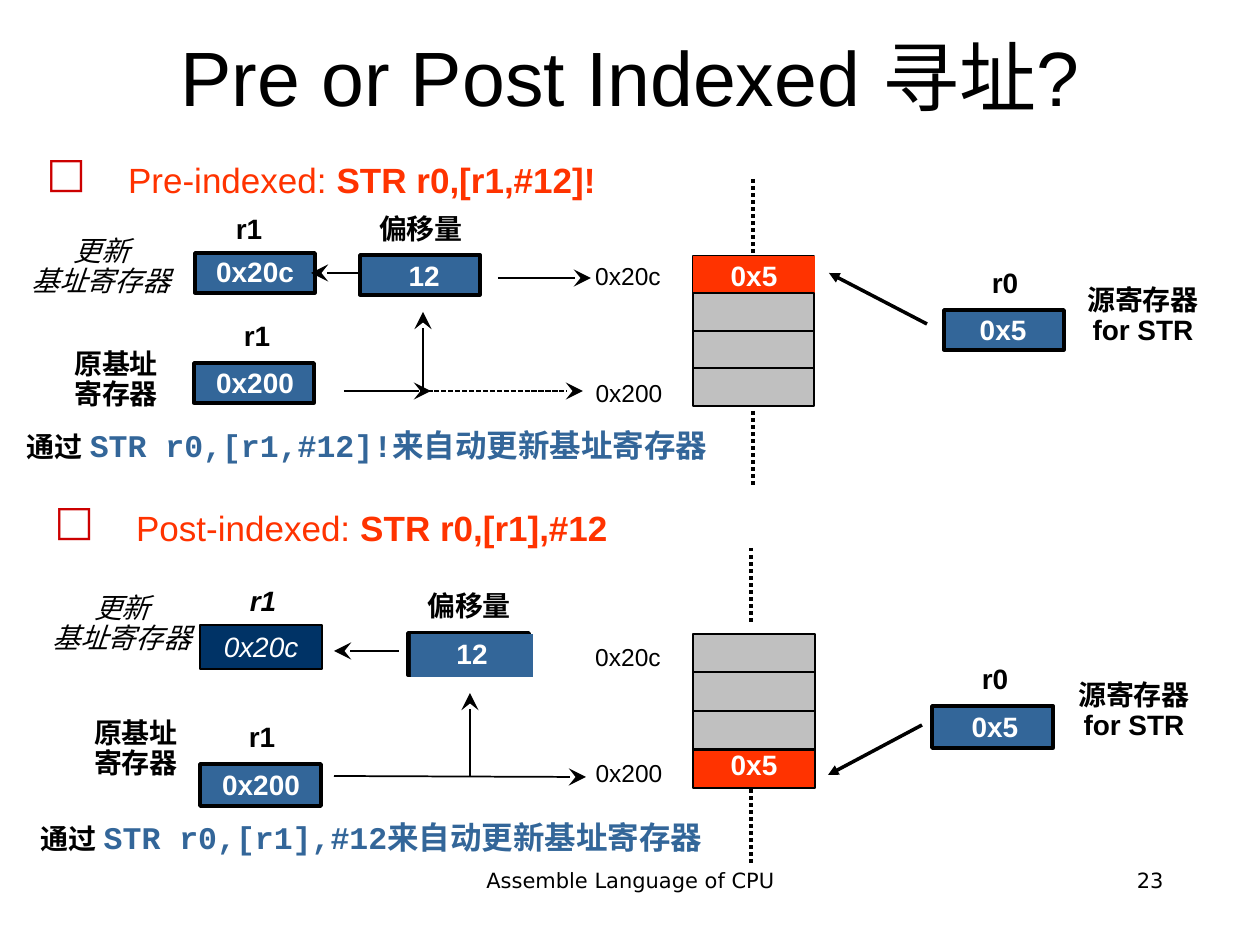
from copy import deepcopy
from dataclasses import dataclass
from typing import NamedTuple, Optional

from lxml.etree import SubElement as Sub
from pptx import Presentation
from pptx.dml.color import RGBColor as Rgb
from pptx.enum.dml import MSO_LINE as Dash
from pptx.enum.shapes import MSO_CONNECTOR as Conn, MSO_SHAPE as Shape
from pptx.enum.text import MSO_ANCHOR as Anchor, PP_ALIGN as Align
from pptx.oxml.ns import qn
from pptx.util import Emu, Pt

SCALE = 914400 / 126
HUES = {
    "black": "000000", "white": "FFFFFF", "red": "FF3300", "blue": "336699",
    "navy": "003366", "grey": "C0C0C0", "mark": "CC0000", "pale": "DDDDDD",
}


class Run(NamedTuple):
    text: str
    size: int = 16
    hue: str = "black"
    bold: bool = False
    slant: bool = False
    font: str = "Arial"


class Box(NamedTuple):
    x: int
    y: int
    w: int
    h: int
    fill: Optional[str] = None
    line: int = 2


class Wire(NamedTuple):
    x1: int
    y1: int
    x2: int
    y2: int
    width: int = 1
    head: str = ""
    tail: str = "stealth"
    dash: Optional[Dash] = None


@dataclass
class Stack:
    x: int
    y: int
    w: int
    span: int
    hot: int
    label: Box
    rim: bool


@dataclass
class Scene:
    stack: Stack
    boxes: list[Box]
    tags: list[tuple[int, int, Run]]
    wires: list[Wire]


def px(n: float) -> Emu:
    return Emu(round(n * SCALE))


def rgb(hue: str) -> Rgb:
    return Rgb.from_string(HUES[hue])


def write(shape, runs: list[Run], align=Align.CENTER, space=0.9,
          wrap=True, anchor=Anchor.TOP, bullet="") -> None:
    frame = shape.text_frame
    frame.word_wrap = wrap
    frame.vertical_anchor = anchor
    para = frame.paragraphs[0]
    if bullet:
        props = para._p.get_or_add_pPr()
        props.set("marL", str(px(65)))
        props.set("indent", str(px(-65)))
        Sub(Sub(props, qn("a:buClr")), qn("a:srgbClr")).set("val", HUES["mark"])
        Sub(props, qn("a:buSzPct")).set("val", "80000")
        Sub(props, qn("a:buFont")).set("typeface", "DejaVu Sans")
        Sub(props, qn("a:buChar")).set("char", bullet)
    para.alignment = align
    para.line_spacing = space
    if len(runs) == 1:
        para.text = runs[0].text
    else:
        for run in runs:
            para.add_run().text = run.text
    for i, part in enumerate(para.runs):
        run = runs[min(i, len(runs) - 1)]
        font = part.font
        font.name, font.size = run.font, Pt(run.size)
        font.bold, font.italic = run.bold, run.slant
        font.color.rgb = rgb(run.hue)
    for gap in para._p.findall(qn("a:br")):
        gap.append(deepcopy(para.runs[0]._r.rPr))


def block(slide, box: Box):
    shape = slide.shapes.add_shape(Shape.RECTANGLE, *map(px, box[:4]))
    shape.shadow.inherit = False
    if box.fill:
        shape.fill.solid()
        shape.fill.fore_color.rgb = rgb(box.fill)
    else:
        shape.fill.background()
    if box.line:
        shape.line.color.rgb = rgb("black")
        shape.line.width = Pt(box.line)
    else:
        shape.line.fill.background()
    return shape


def label(slide, x: int, y: int, w: int, h: int, runs: list[Run], **look) -> None:
    write(slide.shapes.add_textbox(px(x), px(y), px(w), px(h)), runs, **look)


def link(slide, wire: Wire) -> None:
    conn = slide.shapes.add_connector(Conn.STRAIGHT, *map(px, wire[:4]))
    conn.line.color.rgb = rgb("black")
    conn.line.width = Pt(wire.width)
    if wire.dash:
        conn.line.dash_style = wire.dash
    stroke = conn.line._get_or_add_ln()
    for end, kind in (("a:headEnd", wire.head), ("a:tailEnd", wire.tail)):
        if kind:
            tip = Sub(stroke, qn(end))
            tip.set("type", kind)
            if kind == "stealth":
                tip.set("w", "lg")
                tip.set("len", "lg")
    Sub(conn._element.spPr, qn("a:effectLst"))


def pile(slide, stack: Stack) -> None:
    def cell(i: int, fill: Optional[str]) -> None:
        top = stack.y + i * stack.span // 2
        block(slide, Box(stack.x, top, stack.w, stack.span // 2 + 1, fill, 1))

    if not stack.rim:
        cell(stack.hot, "red")
    write(block(slide, stack.label), [value("0x5")])
    for i in range(4):
        if i != stack.hot:
            cell(i, "grey")
    if stack.rim:
        cell(stack.hot, None)


def draw(slide, scene: Scene) -> None:
    pile(slide, scene.stack)
    for box in scene.boxes:
        block(slide, box)
    for x, y, run in scene.tags:
        wide = 180 if run.text.startswith("更新") else 146
        if run.hue == "white" or run.size == 14:
            wide = 122
        label(slide, x, y, wide, 73 if "\n" in run.text else 43, [run])
    for wire in scene.wires:
        link(slide, wire)


def value(text: str) -> Run:
    return Run(text, hue="white", bold=True)


def name(text: str) -> Run:
    return Run(text, bold=True)


def dots(x: int, y: int) -> Wire:
    return Wire(x, y, x, y + 74, 2, tail="", dash=Dash.ROUND_DOT)


BASE = name("原基址\n寄存器")
FROM = name("源寄存器\nfor STR")
NEXT = Run("更新\n基址寄存器", slant=True)
HIGH, LOW = Run("0x20c", 14), Run("0x200", 14)

PRE = Scene(
    Stack(693, 256, 121, 75, 0, Box(693, 256, 122, 43, "red", 0), False),
    [Box(x, y, 120, 40, "blue") for x, y in
     ((194, 363), (944, 310), (360, 255), (195, 253))],
    [(184, 316, name("r1")), (194, 363, value("0x200")), (43, 344, BASE),
     (568, 375, LOW), (567, 258, HIGH), (932, 263, name("r0")),
     (942, 310, value("0x5")), (1070, 280, FROM), (348, 209, name("偏移量")),
     (363, 256, value("12")), (194, 252, value("0x20c")),
     (176, 209, name("r1")), (11, 231, NEXT)],
    [dots(753, 179), dots(753, 411),
     Wire(344, 391, 583, 391, dash=Dash.SQUARE_DOT),
     Wire(829, 273, 927, 324, 2, "triangle", ""),
     Wire(423, 392, 423, 312), Wire(498, 278, 591, 278),
     Wire(360, 273, 311, 273), Wire(348, 391, 431, 391)],
)
POST = Scene(
    Stack(693, 634, 122, 77, 3, Box(693, 745, 122, 43, "red", 0), True),
    [Box(200, 764, 121, 42, "blue"), Box(932, 706, 121, 42, "blue"),
     Box(408, 633, 121, 42, "black"), Box(411, 634, 122, 43, "blue", 0),
     Box(200, 625, 122, 44, "navy", 1)],
    [(189, 717, name("r1")), (200, 765, value("0x200")), (63, 713, BASE),
     (568, 755, LOW), (567, 639, HIGH), (922, 659, name("r0")),
     (934, 707, value("0x5")), (1061, 675, FROM), (396, 586, name("偏移量")),
     (411, 634, value("12")), (190, 581, Run("r1", bold=True, slant=True)),
     (200, 627, Run("0x20c", hue="white", slant=True)), (32, 588, NEXT)],
    [dots(751, 548), dots(751, 789), Wire(334, 776, 586, 777),
     Wire(828, 775, 922, 725, 2, "triangle", ""),
     Wire(470, 777, 470, 693), Wire(399, 651, 334, 651)],
)


def main() -> None:
    deck = Presentation()
    deck.slide_width, deck.slide_height = px(1260), px(945)
    slide = deck.slides.add_slide(deck.slide_layouts[6])
    for x, w, text, align in ((431, 399, "Assemble Language of CPU", Align.CENTER),
                              (903, 273, "23", Align.RIGHT)):
        label(slide, x, 861, w, 66, [Run(text, 12, font="DejaVu Sans")],
              align=align, space=1.0)
    label(slide, 63, 21, 1134, 110, [Run("Pre or Post Indexed 寻址?", 44)],
          space=1.0, anchor=Anchor.MIDDLE)
    for scene in (PRE, POST):
        draw(slide, scene)
    for x, y, head, code in ((34, 135, "Pre-indexed: ", "STR r0,[r1,#12]!"),
                             (42, 483, "Post-indexed: ", "STR r0,[r1],#12")):
        label(slide, x, y, 747, 86,
              [Run(" ", 30, "pale", font="DejaVu Sans"), Run(head, 20, "red"),
               Run(code, 20, "red", True)],
              align=Align.LEFT, space=1.0, bullet="□")
    for x, y, w, code in ((14, 423, 722, "STR r0,[r1,#12]!"),
                          (28, 815, 703, "STR r0,[r1],#12")):
        label(slide, x, y, w, 49,
              [name("通过"), Run(" ", 19, "blue", True, font="Times New Roman"),
               Run(code + "来自动更新基址寄存器", 18, "blue", True, font="Courier New")],
              align=Align.LEFT, wrap=False)
    deck.save("out.pptx")


if __name__ == "__main__":
    main()
